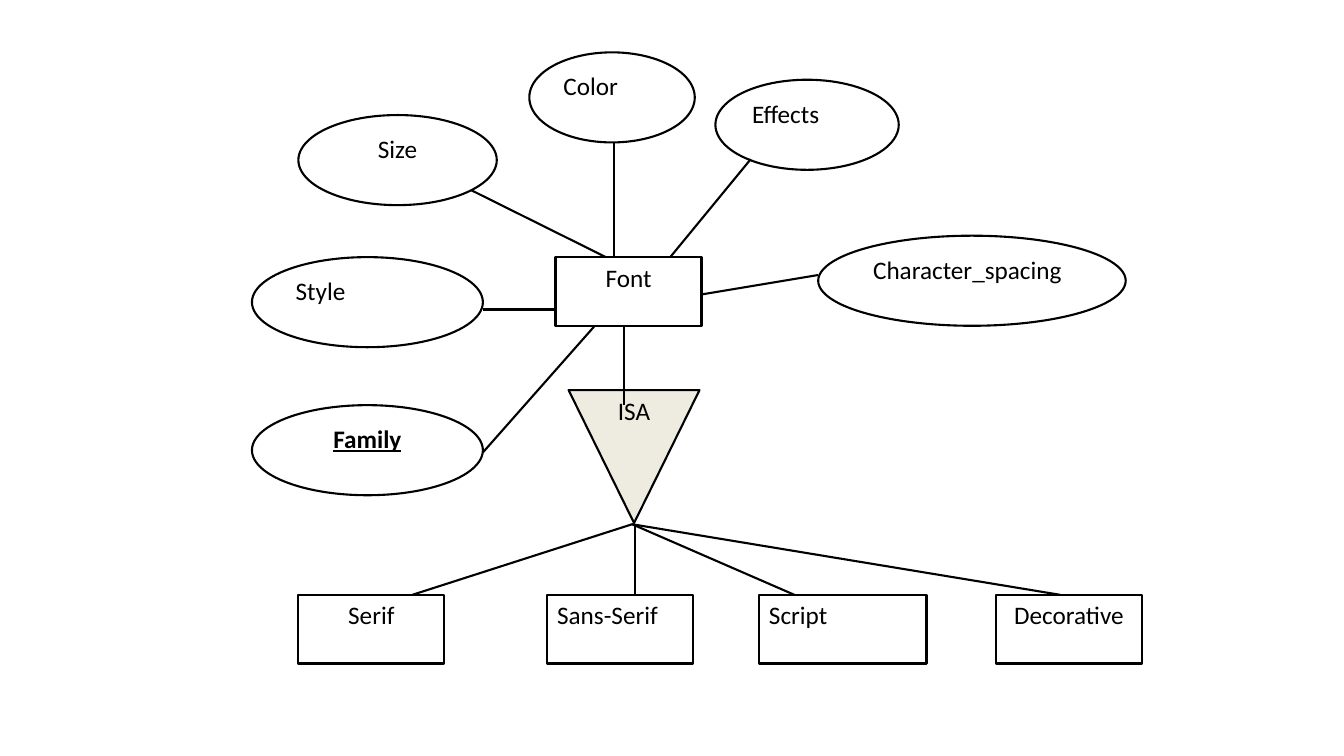
import pptx
import pptx.util
import pptx.dml.color
import pptx.enum.shapes
import pptx.enum.text
import lxml.etree

Cm = pptx.util.Cm
Pt = pptx.util.Pt
SHAPE = pptx.enum.shapes.MSO_SHAPE
ALIGN = pptx.enum.text.PP_ALIGN
LEFT, CENTER = ALIGN.LEFT, ALIGN.CENTER

COLORS = {"ink": "000000", "paper": "FFFFFF", "isa": "EEECE1"}
DRAWING_NS = "http://schemas.openxmlformats.org/drawingml/2006/main"
OVAL_HEIGHT = 2.27
ENTITY_WIDTH, ENTITY_HEIGHT = 3.68, 1.73

# Name, left, top, width, alignment, link start, link end at the Font entity
ATTRIBUTES = [
    ("Size", 1.17, 1.58, 5.0, CENTER, (5.54, 3.48), (8.92, 5.16)),
    ("Color", 6.99, 0, 4.17, LEFT, (9.12, 2.26), (9.12, 5.16)),
    ("Effects", 11.68, 0.69, 4.62, LEFT, (12.57, 2.69), (10.54, 5.16)),
    ("Character_spacing", 14.27, 4.62, 7.75, LEFT, (14.27, 5.61), (11.33, 6.1)),
    ("Style", 0, 5.16, 5.82, LEFT, (5.82, 6.48), (7.65, 6.48)),
    ("Family", 0, 8.89, 5.82, CENTER, (5.82, 10.08), (8.64, 6.89)),
]
# Name, left, width, alignment, link start and link end across
SUBTYPES = [
    ("Serif", 0, ENTITY_WIDTH, CENTER, 8.41, 2.87),
    ("Sans-Serif", 6.27, ENTITY_WIDTH, LEFT, 8.48, 8.48),
    ("Script", 11.61, 4.22, LEFT, 8.41, 12.5),
    ("Decorative", 17.58, ENTITY_WIDTH, CENTER, 8.41, 19.2),
]


def rgb(name):
    return pptx.dml.color.RGBColor.from_string(COLORS[name])


def write_text(frame, text, align=CENTER, key=False):
    frame.word_wrap = True
    frame.vertical_anchor = pptx.enum.text.MSO_ANCHOR.TOP
    paragraph = frame.paragraphs[0]
    paragraph.alignment = align
    paragraph.space_after = Pt(10)
    run = paragraph.add_run()
    run.text = text
    run.font.name = "Calibri"
    run.font.size = Pt(18)
    run.font.color.rgb = rgb("ink")
    run.font.bold = run.font.underline = key


def add_node(slide, kind, box, text, fill="paper", **text_format):
    node = slide.shapes.add_shape(kind, *map(Cm, box))
    node.shadow.inherit = False
    node.fill.solid()
    node.fill.fore_color.rgb = rgb(fill)
    node.line.color.rgb = rgb("ink")
    node.line.width = Pt(1.5)
    write_text(node.text_frame, text, **text_format)


def add_link(slide, origin, start, end):
    x, y = origin
    link = slide.shapes.add_connector(
        pptx.enum.shapes.MSO_CONNECTOR.STRAIGHT,
        Cm(x + start[0]), Cm(y + start[1]), Cm(x + end[0]), Cm(y + end[1]))
    link.line.color.rgb = rgb("ink")
    link.line.width = Pt(1.5)
    lxml.etree.SubElement(link._element.spPr, f"{{{DRAWING_NS}}}effectLst")


def draw_attributes(slide, x, y):
    """Font entity with its ring of attributes."""
    add_node(slide, SHAPE.RECTANGLE,
             (x + 7.65, y + 5.16, ENTITY_WIDTH, ENTITY_HEIGHT), "Font")
    for name, left, top, width, align, start, end in ATTRIBUTES:
        add_node(slide, SHAPE.OVAL, (x + left, y + top, width, OVAL_HEIGHT),
                 name, align=align, key=name == "Family")
        add_link(slide, (x, y), start, end)


def draw_hierarchy(slide, x, y):
    """ISA triangle with the subtypes below it."""
    apex, row = 5.01, 6.79
    for name, left, width, align, start, end in SUBTYPES:
        add_node(slide, SHAPE.RECTANGLE,
                 (x + left, y + row, width, ENTITY_HEIGHT), name, align=align)
        add_link(slide, (x, y), (start, apex), (end, row))
    add_node(slide, SHAPE.FLOWCHART_MERGE, (x + 6.81, y + 1.63, 3.3, 3.35),
             "ISA", fill="isa")
    # Stem from the Font entity
    add_link(slide, (x, y), (8.2, 0), (8.2, 2.01))


def main():
    deck = pptx.Presentation()
    deck.slide_width, deck.slide_height = Cm(33.87), Cm(19.05)
    slide = deck.slides.add_slide(deck.slide_layouts[6])
    draw_attributes(slide, 6.35, 1.32)
    draw_hierarchy(slide, 7.52, 8.2)
    deck.save("out.pptx")


if __name__ == "__main__":
    main()
